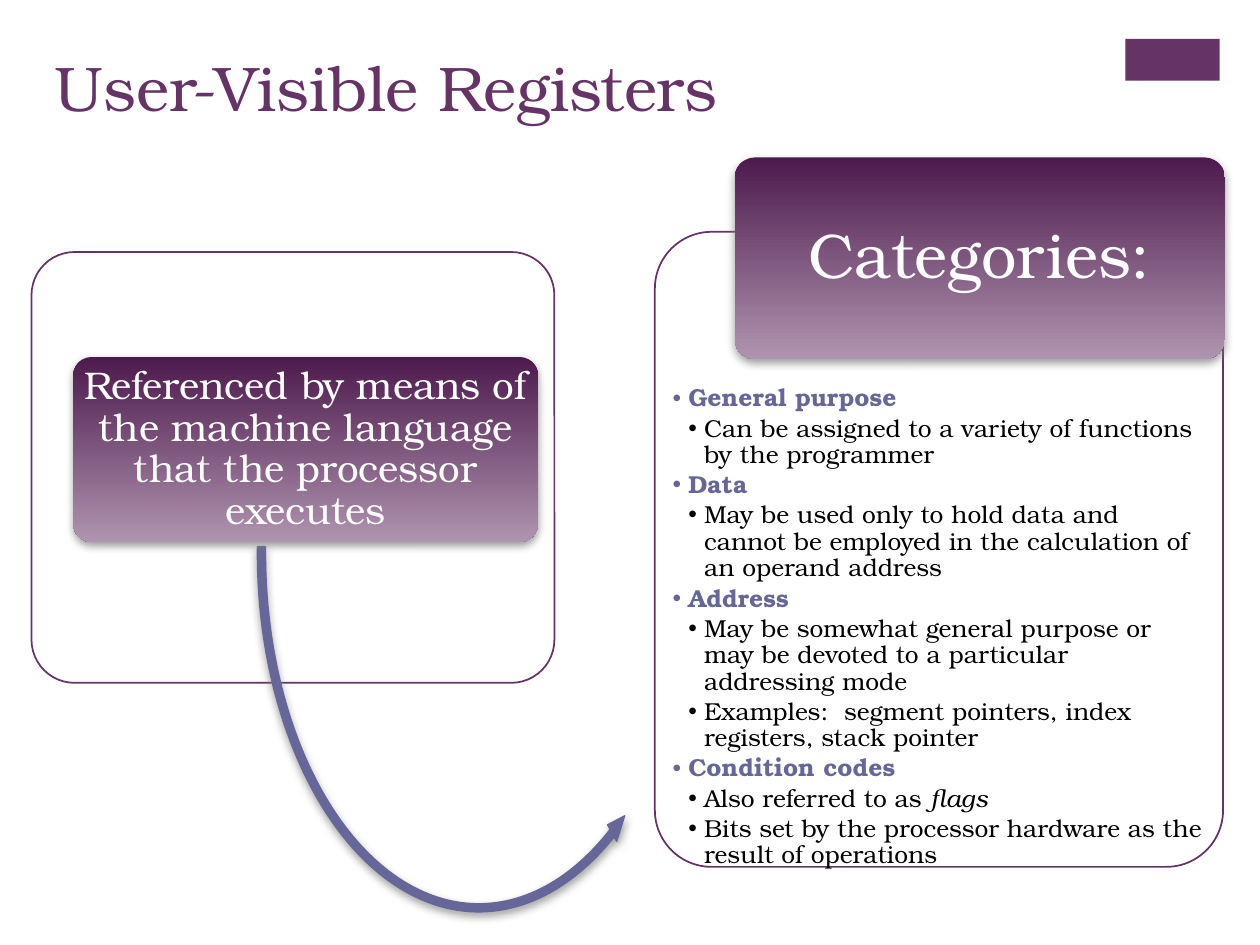
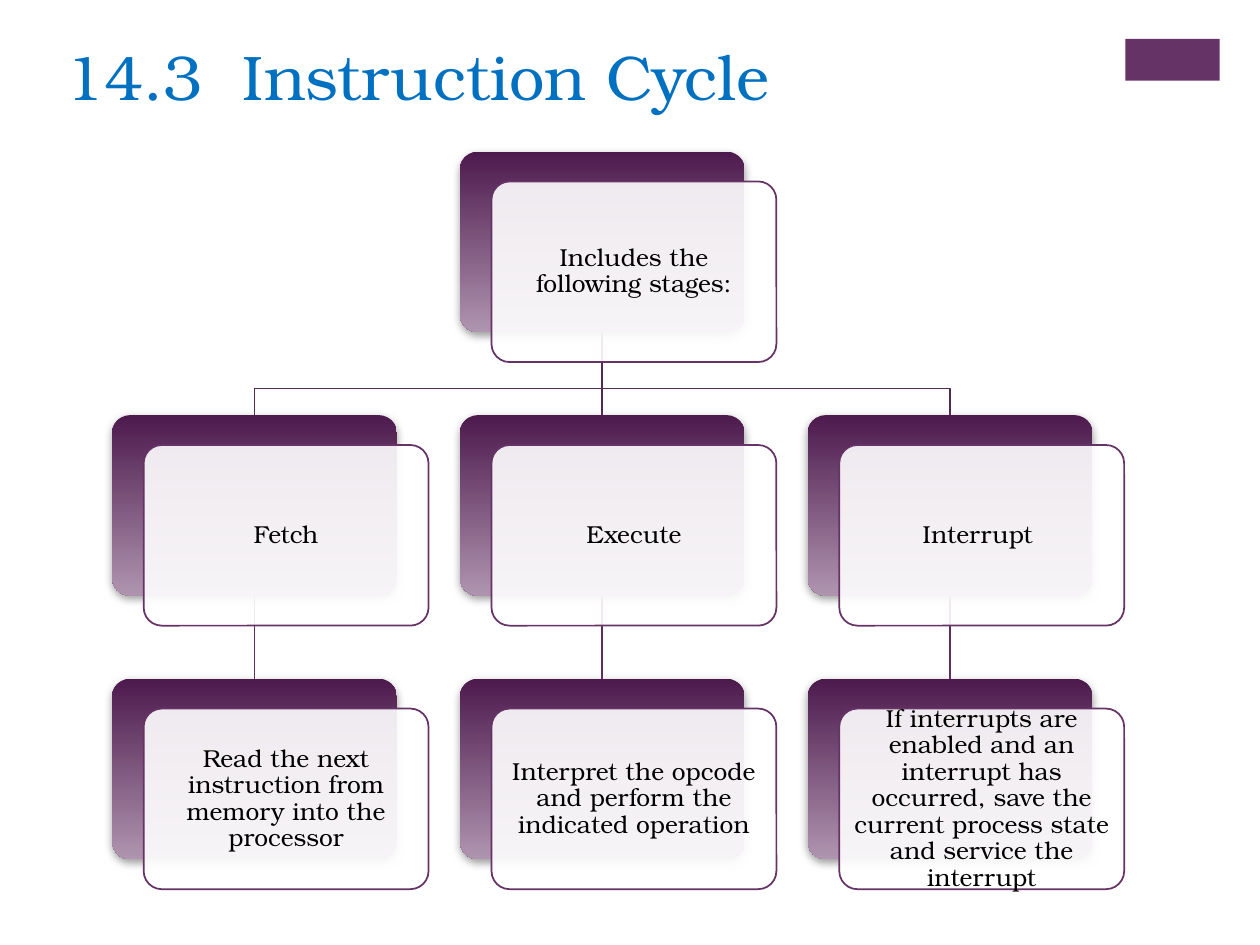
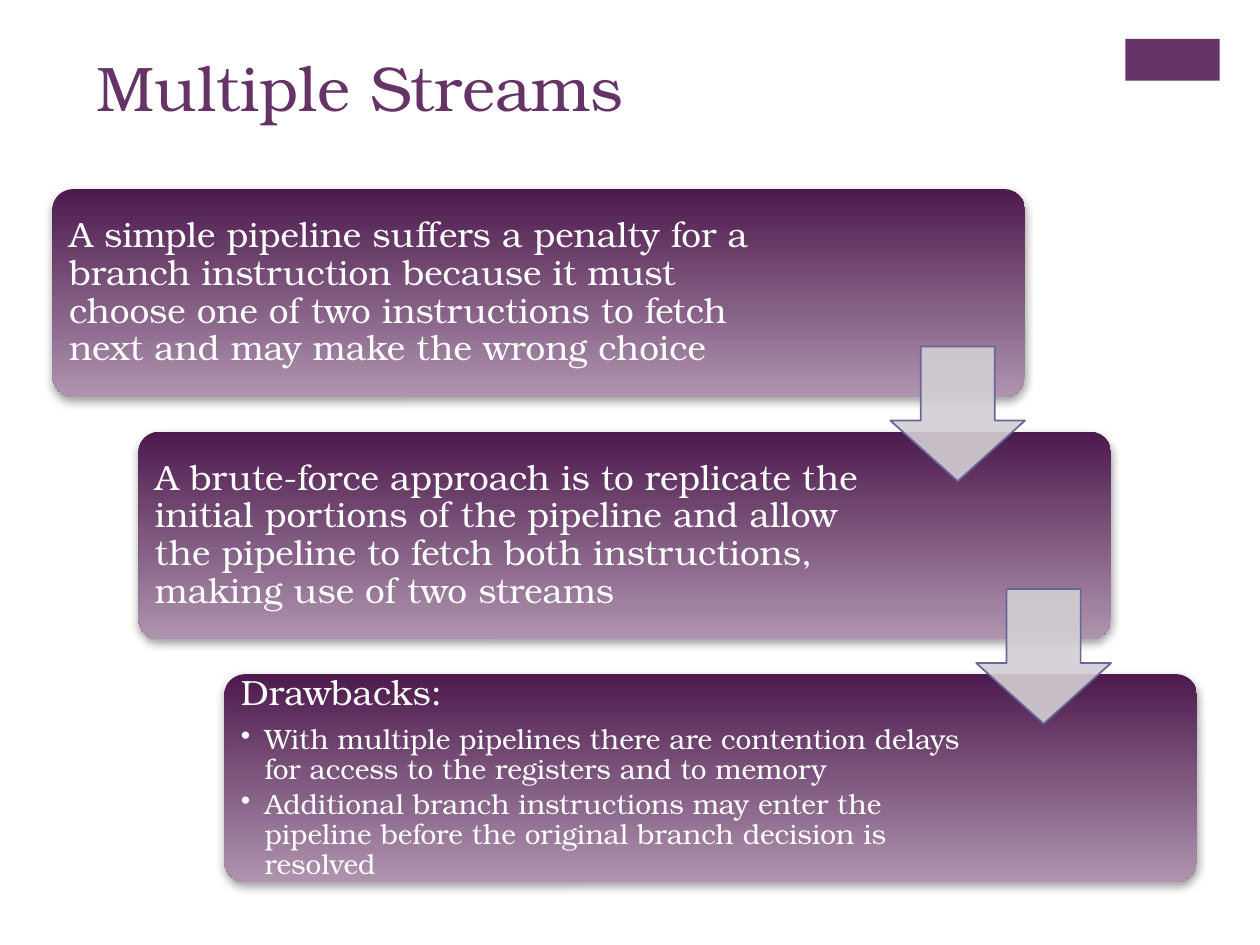
from pptx import Presentation
from pptx.dml.color import RGBColor
from pptx.enum.shapes import MSO_CONNECTOR, MSO_SHAPE
from pptx.enum.text import MSO_ANCHOR, MSO_AUTO_SIZE, PP_ALIGN
from pptx.oxml.ns import qn
from pptx.util import Pt
from lxml import etree

PURPLE = RGBColor(0x66, 0x33, 0x66)
DARK_PURPLE = RGBColor(0x4D, 0x1A, 0x4D)
PALE_PURPLE = RGBColor(0xAF, 0x94, 0xAF)
ROOT_LINK = RGBColor(0x52, 0x29, 0x52)
STAGE_LINK = RGBColor(0x5D, 0x2E, 0x5D)
SLATE = RGBColor(0x66, 0x66, 0x99)
ARROW_GRAY = RGBColor(0xD3, 0xCE, 0xD3)
TITLE_BLUE = RGBColor(0x00, 0x70, 0xC0)
BLACK = RGBColor(0, 0, 0)
WHITE = RGBColor(0xFF, 0xFF, 0xFF)
FONT = "TeX Gyre Bonum"

RECTANGLE = MSO_SHAPE.RECTANGLE
ROUNDED = MSO_SHAPE.ROUNDED_RECTANGLE
DOWN_ARROW = MSO_SHAPE.DOWN_ARROW
CURVED_ARROW = MSO_SHAPE.LEFT_CIRCULAR_ARROW
STRAIGHT = MSO_CONNECTOR.STRAIGHT
LEFT, CENTER = PP_ALIGN.LEFT, PP_ALIGN.CENTER
TOP, MIDDLE = MSO_ANCHOR.TOP, MSO_ANCHOR.MIDDLE
TOP_SIDE, BOTTOM_SIDE = 0, 2

TITLE_ONLY, TITLE_AND_CONTENT = 5, 1
TITLE_WIDTH, TITLE_HEIGHT = 594.7, 87.8

CATEGORIES = [
    ("General purpose", [["Can be assigned to a variety of functions by the programmer"]]),
    ("Data", [["May be used only to hold data and cannot be employed in the "
               "calculation of an operand address"]]),
    ("Address", [["May be somewhat general purpose or may be devoted to a "
                  "particular addressing mode"],
                 ["Examples:  segment pointers, index registers, stack pointer"]]),
    ("Condition codes", [["Also referred to as ", ("flags", {"italic": True})],
                         ["Bits set by the processor hardware as the result of operations"]]),
]
STAGES = [
    ("Fetch", "Read the next instruction from memory into the processor"),
    ("Execute", "Interpret the opcode and perform the indicated operation"),
    ("Interrupt ", "If interrupts are enabled and an interrupt has occurred, save the "
                   "current process state and service the interrupt"),
]
STREAM_STEPS = [
    ["A simple pipeline suffers a penalty for a branch instruction because it must "
     "choose one of two instructions to fetch next and may make the wrong choice"],
    ["A brute-force approach is to replicate the initial portions of the pipeline and "
     "allow the pipeline to fetch both instructions, making use of two streams"],
    ["Drawbacks:",
     "With multiple pipelines there are contention delays for access to the registers "
     "and to memory",
     "Additional branch instructions may enter the pipeline before the original branch "
     "decision is resolved"],
]


def points(box):
    return [Pt(length) for length in box]


def add_child(parent, tag, **attributes):
    child = etree.SubElement(parent, qn(tag))
    for name, value in attributes.items():
        child.set(name, str(value))
    return child


def prepare_frame(frame, anchor, insets):
    """Insets are left, top, right, bottom."""
    left, top, right, bottom = points(insets)
    settings = {"word_wrap": True, "auto_size": MSO_AUTO_SIZE.NONE,
                "vertical_anchor": anchor, "margin_left": left, "margin_top": top,
                "margin_right": right, "margin_bottom": bottom}
    for name, value in settings.items():
        setattr(frame, name, value)


def write_paragraph(frame, runs, size, color, align=LEFT, spacing=0.9, after=0.35,
                    level=0, bullet_indent=None, hanging=0, **font_values):
    """Add a paragraph; `after` is a share of the text size."""
    paragraph = frame.paragraphs[0]
    if paragraph.runs:
        paragraph = frame.add_paragraph()
    settings = {"alignment": align, "level": level, "line_spacing": spacing,
                "space_before": Pt(0), "space_after": Pt(round(size * after, 1))}
    for name, value in settings.items():
        setattr(paragraph, name, value)
    if bullet_indent is not None:
        properties = paragraph._p.get_or_add_pPr()
        properties.set("marL", str(Pt(bullet_indent)))
        properties.set("indent", str(-Pt(hanging)))
        add_child(properties, "a:buChar", char="•")
    for item in runs:
        text, extra = (item, {}) if isinstance(item, str) else item
        run = paragraph.add_run()
        run.text = text
        values = {"name": FONT, "size": Pt(size), **font_values, **extra}
        for name, value in values.items():
            setattr(run.font, name, value)
        run.font.color.rgb = color


def add_plain_shape(slide, kind, box, fill=None, line=None, width=1, opacity=100,
                    adjustments=()):
    shape = slide.shapes.add_shape(kind, *points(box))
    shape.shadow.inherit = False
    for index, value in enumerate(adjustments):
        shape.adjustments[index] = value
    if fill is not None:
        shape.fill.solid()
        shape.fill.fore_color.rgb = fill
    if opacity < 100:
        color = shape._element.spPr.find(qn("a:solidFill"))[0]
        add_child(color, "a:alpha", val=opacity * 1000)
    if line is None:
        shape.line.fill.background()
    else:
        shape.line.color.rgb = line
        shape.line.width = Pt(width)
    return shape


def add_soft_shadow(shape):
    effects = shape._element.spPr.find(qn("a:effectLst"))
    shadow = add_child(effects, "a:outerShdw", blurRad=Pt(5), dist=Pt(2),
                       dir=90 * 60000, rotWithShape=0)
    color = add_child(shadow, "a:srgbClr", val="808080")
    add_child(color, "a:alpha", val=75000)


def add_outlined_panel(slide, box):
    return add_plain_shape(slide, ROUNDED, box, WHITE, PURPLE, opacity=90,
                           adjustments=[0.1])


def add_gradient_card(slide, box):
    card = add_plain_shape(slide, ROUNDED, box, adjustments=[0.1])
    card.fill.gradient()
    card.fill.gradient_angle = 270
    for stop, color in zip(card.fill.gradient_stops, (DARK_PURPLE, PALE_PURPLE)):
        stop.color.rgb = color
    add_soft_shadow(card)
    return card


def write_centered(shape, text, size, color, inset):
    prepare_frame(shape.text_frame, MIDDLE, [inset] * 4)
    write_paragraph(shape.text_frame, [text], size, color, CENTER)


def add_titled_slide(presentation, layout, title, box, color=PURPLE):
    slide = presentation.slides.add_slide(presentation.slide_layouts[layout])
    placeholder = slide.shapes.title
    for name, value in zip(("left", "top", "width", "height"), points(box)):
        setattr(placeholder, name, value)
    prepare_frame(placeholder.text_frame, TOP, (7.2, 3.6, 7.2, 3.6))
    write_paragraph(placeholder.text_frame, [title], 36, color, spacing=1, after=0)
    return slide


def move_tab_to_master(presentation, slide):
    """Put the purple corner tab on the master, so every slide shows it."""
    tab = add_plain_shape(slide, RECTANGLE, (643, 22.3, 54, 23.8), PURPLE)
    presentation.slide_master.shapes._spTree.append(tab._element)


def add_reference_region(slide, box):
    left, top, width, height = box
    add_outlined_panel(slide, box)
    arrow = add_plain_shape(slide, CURVED_ARROW, (left + 126, top - 36, 259.2, 416.2),
                            SLATE, SLATE, 0.75,
                            adjustments=[0.018, 2.16, 38.717, 109.047, 0.021])
    add_soft_shadow(arrow)
    card = add_gradient_card(slide, (left + 23.8, top + 60, width - 33.1, 105.8))
    write_centered(card, "Referenced by means of the machine language that the "
                   "processor executes", 22, WHITE, 2.9)


def add_categories_region(slide, box):
    left, top, width, height = box
    add_outlined_panel(slide, box)
    body = slide.placeholders[1]
    body_box = (left + 7.9, top + 85.7, width - 17.3, height - 94.3)
    for name, value in zip(("left", "top", "width", "height"), points(body_box)):
        setattr(body, name, value)
    slide.shapes._spTree.append(body._element)
    frame = body.text_frame
    prepare_frame(frame, TOP, [2.2] * 4)
    bullet = {"size": 14, "after": 0.15, "hanging": 9}
    for category, details in CATEGORIES:
        write_paragraph(frame, [category], color=SLATE, level=1, bullet_indent=9,
                        bold=True, **bullet)
        for runs in details:
            write_paragraph(frame, runs, color=BLACK, level=2, bullet_indent=18, **bullet)
    header = add_gradient_card(slide, (left + 45.6, top - 42.5, 280.1, 115.2))
    write_centered(header, "Categories:", 36, WHITE, 4)


def add_stage_card(slide, box, text):
    """Draw a shaded card with its text panel shifted in front; return the card."""
    left, top, width, height = box
    card = add_gradient_card(slide, box)
    panel = add_outlined_panel(slide, (left + 18.1, top + 17.1, width, height))
    write_centered(panel, text, 14, BLACK, 4.3)
    return card


def style_link(link, color):
    link.line.color.rgb = color
    link.line.width = Pt(1)


def add_straight_link(slide, x, start, end, color):
    link = slide.shapes.add_connector(STRAIGHT, *points((x, start, x, end)))
    style_link(link, color)
    add_child(link._element.spPr, "a:effectLst")
    return link


def add_elbow_link(slide, start, end, bend):
    builder = slide.shapes.build_freeform(*points(start))
    corners = [(start[0], bend), (end[0], bend), end]
    builder.add_line_segments([points(corner) for corner in corners], close=False)
    link = builder.convert_to_shape()
    link.shadow.inherit = False
    link.fill.background()
    style_link(link, ROOT_LINK)


def join(link, upper, lower):
    link.begin_connect(upper, BOTTOM_SIDE)
    link.end_connect(lower, TOP_SIDE)


def add_stage_tree(slide, box):
    left, top, width, height = box
    card_width, card_height = 162.8, 103.2
    column_step = (width - card_width) / 2
    row_step = (height - card_height) / 2
    columns = [left + column_step * index for index in range(3)]
    root_row, stage_row, detail_row = [top + row_step * index for index in range(3)]
    centers = [x + card_width / 2 for x in columns]
    root_bottom = root_row + card_height

    stage_links = [add_straight_link(slide, x, stage_row + card_height, detail_row,
                                     STAGE_LINK) for x in centers]
    for x in (centers[0], centers[2]):
        add_elbow_link(slide, (centers[1], root_bottom), (x, stage_row),
                       root_bottom + 32.2)
    root_link = add_straight_link(slide, centers[1], root_bottom, stage_row, ROOT_LINK)

    size = (card_width, card_height)
    root = add_stage_card(slide, (columns[1], root_row, *size),
                          "Includes the following stages:")
    stage_cards = []
    for x, link, (stage, detail) in zip(columns, stage_links, STAGES):
        stage_card = add_stage_card(slide, (x, stage_row, *size), stage)
        detail_card = add_stage_card(slide, (x, detail_row, *size), detail)
        join(link, stage_card, detail_card)
        stage_cards.append(stage_card)
    join(root_link, root, stage_cards[1])


def add_staircase(slide, box):
    left, top, width, height = box
    card_width, card_height, arrow_size = 555.8, 118.8, 77
    gaps = len(STREAM_STEPS) - 1
    step_x, step_y = (width - card_width) / gaps, (height - card_height) / gaps
    corners = [(left + step_x * index, top + step_y * index)
               for index in range(len(STREAM_STEPS))]
    for (x, y), (heading, *details) in zip(corners, STREAM_STEPS):
        card = add_gradient_card(slide, (x, y, card_width, card_height))
        frame = card.text_frame
        prepare_frame(frame, MIDDLE, (6, 6, 130, 6))
        write_paragraph(frame, [heading], 20, WHITE)
        for detail in details:
            write_paragraph(frame, [detail], 16, WHITE, after=0.15, level=1,
                            bullet_indent=13.5, hanging=13.5)
    for x, y in corners[:-1]:
        arrow_box = (x + card_width - arrow_size, y + 90, arrow_size, arrow_size)
        add_plain_shape(slide, DOWN_ARROW, arrow_box, ARROW_GRAY, SLATE, opacity=90,
                        adjustments=[0.55, 0.45])


def main():
    presentation = Presentation()
    presentation.slide_width, presentation.slide_height = Pt(720), Pt(540)

    registers = add_titled_slide(presentation, TITLE_AND_CONTENT, "User-Visible Registers",
                                 (24, 24, TITLE_WIDTH, TITLE_HEIGHT))
    move_tab_to_master(presentation, registers)
    add_reference_region(registers, (18, 144, 298.8, 246.2))
    add_categories_region(registers, (374.2, 132.5, 324.7, 362.9))

    cycle = add_titled_slide(presentation, TITLE_ONLY, "14.3  Instruction Cycle",
                             (30, 18, 466, 64.8), TITLE_BLUE)
    add_stage_tree(cycle, (64, 86.6, 560.3, 404.4))

    streams = add_titled_slide(presentation, TITLE_ONLY, "Multiple Streams",
                               (48, 24, TITLE_WIDTH, TITLE_HEIGHT))
    add_staircase(streams, (30, 108, 654, 396))

    presentation.save("out.pptx")


if __name__ == "__main__":
    main()
